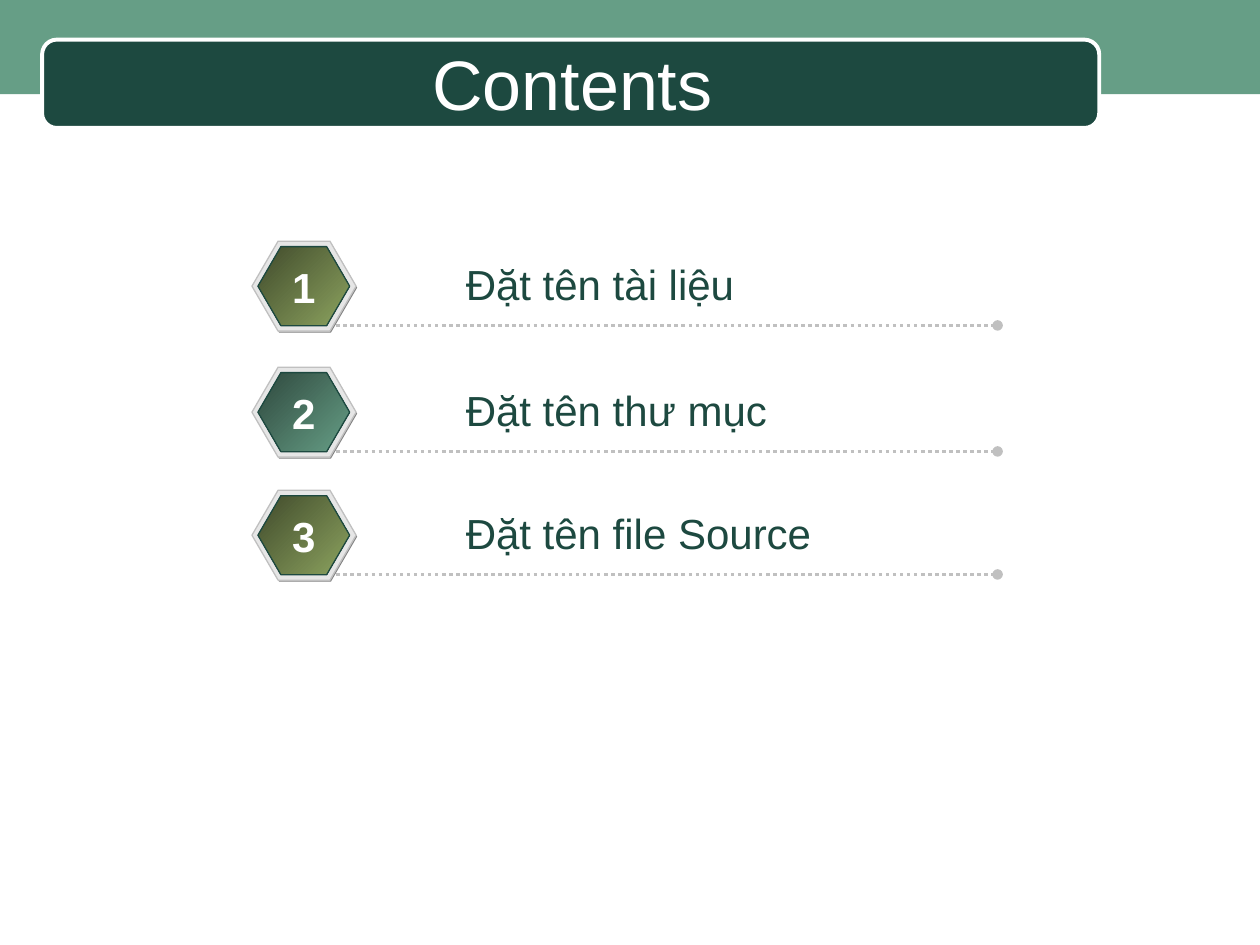
"""Build a contents slide with a title bar and three numbered rows."""
import pptx
import pptx.dml.color
import pptx.enum.dml
import pptx.enum.shapes
import pptx.enum.text
import pptx.oxml.ns
import pptx.oxml.xmlchemy
import pptx.util

Cm = pptx.util.Cm
Pt = pptx.util.Pt
KINDS = pptx.enum.shapes.MSO_SHAPE
ALIGN = pptx.enum.text.PP_ALIGN
ANCHOR = pptx.enum.text.MSO_ANCHOR

DARK, GREEN, WHITE = "1D4940", "669E86", "FFFFFF"
GREY, EDGE, SHADE = "E6E6E6", "C0C0C0", "808080"
OLIVE, TEAL = ("414B2C", "8CA35F"), ("2F493E", GREEN)
ROWS = [
    (4.86, "Đặt tên tài liệu", 5.92, OLIVE),
    (7.4, "Đặt tên thư mục", 6.58, TEAL),
    (9.88, "Đặt tên file Source", 7.47, OLIVE),
]


def color(code):
    return pptx.dml.color.RGBColor.from_string(code)


def put(item, values):
    for name, value in values.items():
        setattr(item, name, value)


def paint(shape, fill, line=None, width=0.75):
    shape.shadow.inherit = False
    if isinstance(fill, tuple):
        shape.fill.gradient()
        shape.fill.gradient_angle = 315
        for stop, code, place in zip(shape.fill.gradient_stops, fill, (0, 1)):
            stop.position = place
            stop.color.rgb = color(code)
    else:
        shape.fill.solid()
        shape.fill.fore_color.rgb = color(fill)
    if line:
        shape.line.color.rgb = color(line)
        shape.line.width = Pt(width)
    else:
        shape.line.fill.background()


def shape(slide, kind, box, fill, line=None, width=0.75, adjust=()):
    form = slide.shapes.add_shape(kind, *map(Cm, box))
    for place, value in enumerate(adjust):
        form.adjustments[place] = value
    paint(form, fill, line, width)


def label(slide, box, text, size, code, bold=False, wrap=False,
          align=ALIGN.LEFT, anchor=ANCHOR.TOP):
    frame = slide.shapes.add_textbox(*map(Cm, box)).text_frame
    put(frame, {"word_wrap": wrap, "vertical_anchor": anchor})
    para = frame.paragraphs[0]
    para.alignment = align
    run = para.add_run()
    run.text = text
    put(run.font, {"name": "Arial", "size": Pt(size), "bold": bold})
    run.font.color.rgb = color(code)


def rule(slide, left, right, top):
    line = slide.shapes.add_connector(
        pptx.enum.shapes.MSO_CONNECTOR.STRAIGHT,
        Cm(left), Cm(top), Cm(right), Cm(top))
    line.line.color.rgb = color(EDGE)
    put(line.line, {"width": Pt(2),
                    "dash_style": pptx.enum.dml.MSO_LINE.ROUND_DOT})
    props = line._element.spPr
    end = pptx.oxml.xmlchemy.OxmlElement("a:tailEnd")
    end.set("type", "oval")
    props.find(pptx.oxml.ns.qn("a:ln")).append(end)
    props.append(pptx.oxml.xmlchemy.OxmlElement("a:effectLst"))


def badge(slide, top, number, fill):
    layers = [
        ((5.1, top + 0.03, 2.1, 1.82), SHADE, None),
        ((5.08, top, 2.1, 1.82), GREY, EDGE),
        ((5.2, top + 0.11, 1.85, 1.6), fill, DARK),
    ]
    for box, inside, line in layers:
        shape(slide, KINDS.HEXAGON, box, inside, line, adjust=(0.29, 1.15))
    label(slide, (5.64, top + 0.28, 0.97, 1.27), number, 24, WHITE,
          bold=True, align=ALIGN.CENTER)


def header(slide):
    shape(slide, KINDS.RECTANGLE, (0, 0, 25.43, 1.9), GREEN)
    shape(slide, KINDS.ROUNDED_RECTANGLE, (0.85, 0.8, 21.31, 1.78), DARK,
          WHITE, 2.25)
    label(slide, (1.28, 0.88, 20.52, 1.57), "Contents", 40, WHITE,
          wrap=True, align=ALIGN.CENTER, anchor=ANCHOR.MIDDLE)


def main():
    deck = pptx.Presentation()
    put(deck, {"slide_width": Cm(25.4), "slide_height": Cm(19.05)})
    slide = deck.slides.add_slide(deck.slide_layouts[6])
    header(slide)
    for number, (top, text, width, fill) in enumerate(ROWS, 1):
        rule(slide, 6.78, 20.11, top + 1.7)
        badge(slide, top, str(number), fill)
        label(slide, (9.14, top + 0.22, width, 1.27), text, 24, DARK)
    deck.save("out.pptx")


if __name__ == "__main__":
    main()
